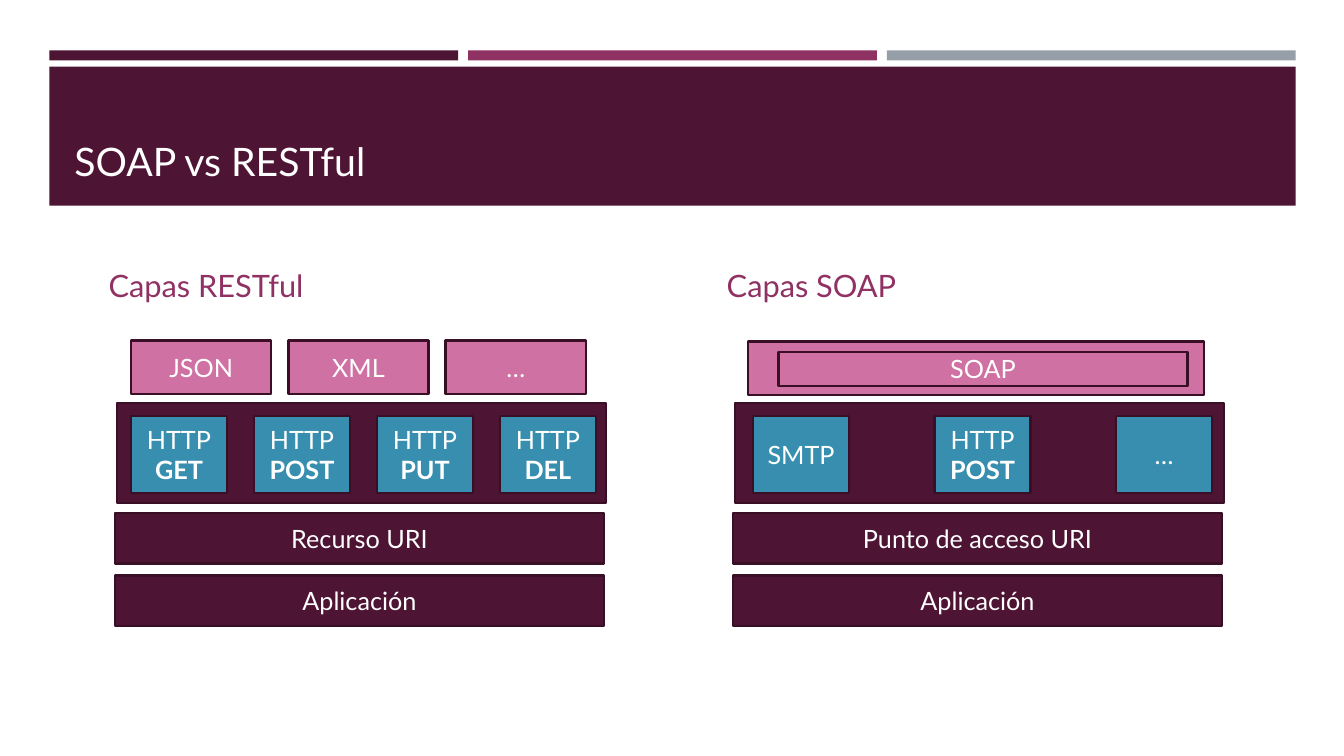
import pptx
import pptx.util
import pptx.dml.color
import pptx.enum.shapes
import pptx.enum.text

Inches = pptx.util.Inches
Pt = pptx.util.Pt
Align = pptx.enum.text.PP_ALIGN
Anchor = pptx.enum.text.MSO_ANCHOR

HUES = {"plum": "4D1434", "berry": "903163", "gray": "969FA7",
        "edge": "390F26", "teal": "388EAF", "pink": "CF71A2", "white": "FFFFFF"}
FONT = "Lato"


def tint(name):
    """Return the named colour."""
    return pptx.dml.color.RGBColor.from_string(HUES[name])


def style(par, size, hue, bold=False):
    """Format the runs of a paragraph."""
    for run in par.runs:
        run.font.name = FONT
        run.font.size = Pt(size)
        run.font.bold = bold
        run.font.color.rgb = tint(hue)


def block(slide, box, hue, text="", edge=True):
    """Draw a filled box; lines of text after the first are bold."""
    shape = slide.shapes.add_shape(
        pptx.enum.shapes.MSO_SHAPE.RECTANGLE, *map(Inches, box))
    shape.shadow.inherit = False
    shape.fill.solid()
    shape.fill.fore_color.rgb = tint(hue)
    if edge:
        shape.line.color.rgb = tint("edge")
        shape.line.width = Pt(1.75)
    else:
        shape.line.fill.background()
    if text:
        frame = shape.text_frame
        frame.text = text
        frame.vertical_anchor = Anchor.MIDDLE
        for row, par in enumerate(frame.paragraphs):
            par.alignment = Align.CENTER
            style(par, 18, "white", row > 0)


def label(slide, box, text, size, hue):
    """Place a line of text at the bottom of its box."""
    frame = slide.shapes.add_textbox(*map(Inches, box)).text_frame
    frame.word_wrap = True
    frame.vertical_anchor = Anchor.BOTTOM
    frame.text = text
    style(frame.paragraphs[0], size, hue)


def header(slide, left, top, width):
    """Draw the three bars, the banner and the title."""
    gap = 0.1
    bar = (width - 2 * gap) / 3
    for col, hue in enumerate(("plum", "berry", "gray")):
        block(slide, (left + col * (bar + gap), top, bar, 0.1), hue, edge=False)
    block(slide, (left, top + 0.16, width, 1.38), "plum", edge=False)
    label(slide, (left + 0.15, top + 0.3, width - 0.3, 1.08),
          "SOAP vs RESTful", 28, "white")


def stack(slide, left, top, head, verbs, inset, step, base):
    """Draw a heading, its protocol row and the two base layers."""
    wide = 4.85
    label(slide, (left - 0.16, top, 5.56, 0.6), head, 22, "berry")
    block(slide, (left + 0.02, top + 1.54, wide, 0.99), "plum")
    for row, text in enumerate((base, "Aplicación")):
        block(slide, (left, top + 2.63 + row * 0.62, wide, 0.5), "plum", text)
    for col, text in enumerate(verbs):
        block(slide, (left + inset + col * step, top + 1.67, 0.95, 0.76),
              "teal", text)


def rest(slide, left, top):
    """Draw the RESTful layers, with a box for each data format."""
    verbs = ["HTTP\n" + verb for verb in ("GET", "POST", "PUT", "DEL")]
    stack(slide, left, top, "Capas RESTful", verbs, 0.16, 1.22, "Recurso URI")
    for col, text in enumerate(("JSON", "XML", "…")):
        block(slide, (left + 0.16 + col * 1.56, top + 0.92, 1.39, 0.53),
              "pink", text)


def soap(slide, left, top):
    """Draw the SOAP layers, with the message in its envelope."""
    stack(slide, left, top, "Capas SOAP", ("SMTP", "HTTP\nPOST", "…"),
          0.2, 1.8, "Punto de acceso URI")
    block(slide, (left + 0.15, top + 0.93, 4.52, 0.53), "pink")
    block(slide, (left + 0.45, top + 1.03, 4.06, 0.34), "pink", "SOAP")


def main():
    """Build and save the slide."""
    deck = pptx.Presentation()
    deck.slide_width = Inches(13.33)
    deck.slide_height = Inches(7.5)
    slide = deck.slides.add_slide(deck.slide_layouts[6])
    header(slide, 0.49, 0.5, 12.36)
    rest(slide, 1.14, 2.46)
    soap(slide, 7.27, 2.46)
    deck.save("out.pptx")


main()
